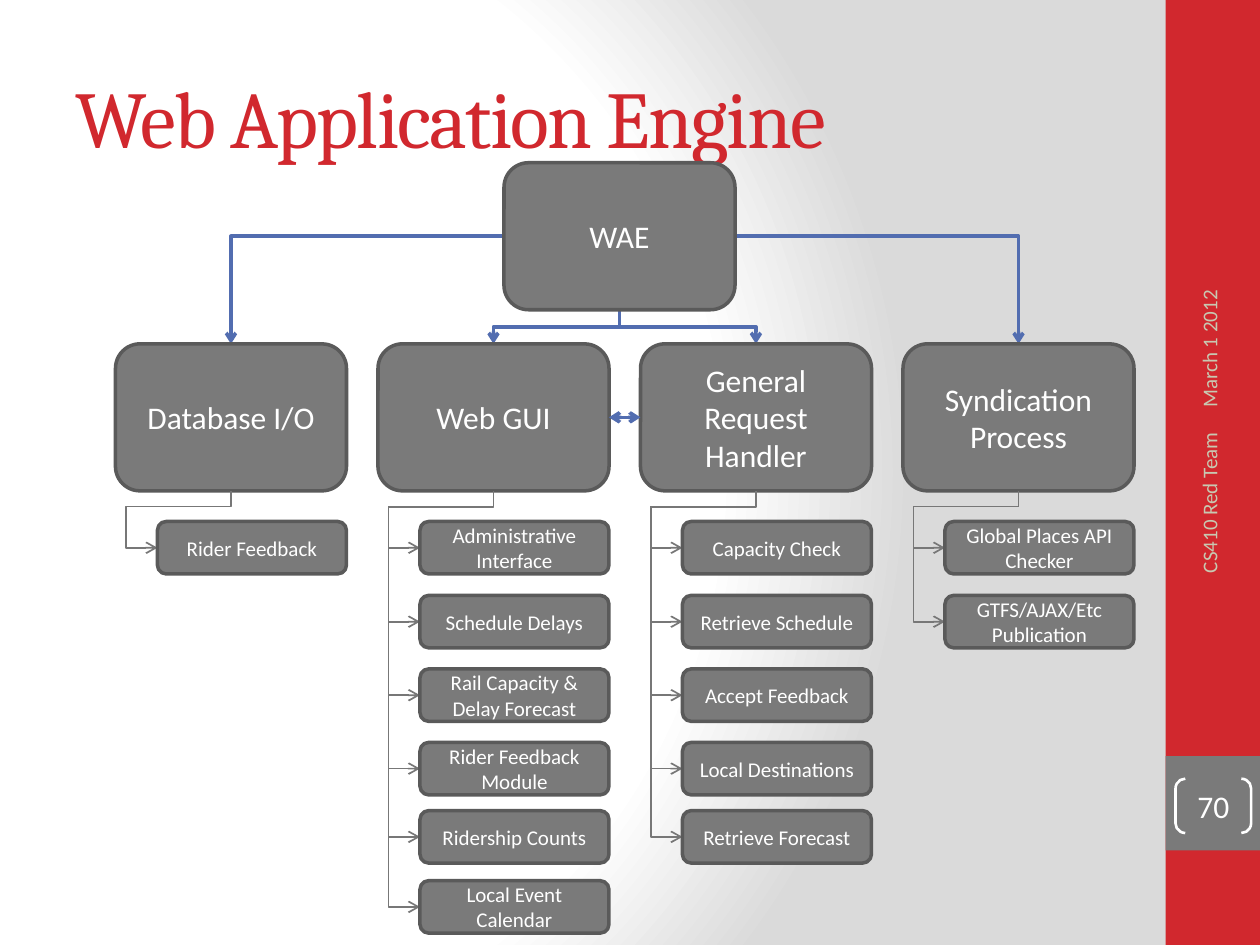
"""Build the Web Application Engine component tree slide."""
import lxml.etree
import pptx
import pptx.dml.color
import pptx.enum.shapes
import pptx.enum.text
import pptx.oxml
import pptx.oxml.ns
import pptx.util

Pt = pptx.util.Pt
RGBColor = pptx.dml.color.RGBColor
SHAPE = pptx.enum.shapes.MSO_SHAPE
CONNECTOR = pptx.enum.shapes.MSO_CONNECTOR
ALIGN = pptx.enum.text.PP_ALIGN
qn = pptx.oxml.ns.qn

RED = RGBColor(0xD1, 0x28, 0x2E)
GREY = RGBColor(0x7A, 0x7A, 0x7A)
OUTLINE = RGBColor(0x5A, 0x5A, 0x5A)
BRANCH = RGBColor(0x77, 0x77, 0x77)
BLUE = RGBColor(0x52, 0x6D, 0xB0)
SAND = RGBColor(0xC8, 0xC8, 0xB1)
WHITE = RGBColor(0xFF, 0xFF, 0xFF)

BACKGROUND = f"""<p:bg {pptx.oxml.ns.nsdecls("p", "a")}><p:bgPr><a:gradFill rotWithShape="1"><a:gsLst>
<a:gs pos="0"><a:srgbClr val="FFFFFF"/></a:gs><a:gs pos="75000"><a:srgbClr val="FFFFFF"/></a:gs>
<a:gs pos="100000"><a:srgbClr val="DADADA"/></a:gs></a:gsLst>
<a:path path="circle"><a:fillToRect l="20000" t="50000" r="100000" b="50000"/></a:path>
</a:gradFill><a:effectLst/></p:bgPr></p:bg>"""

COLUMN_LEFT, COLUMN_STEP = 66, 150
NODE_WIDTH, NODE_HEIGHT = 132, 84
ROOT_LEFT, ROOT_TOP, NODE_TOP = 288, 93, 196.5
NODE_BOTTOM = NODE_TOP + NODE_HEIGHT
LEAF_INDENT, LEAF_WIDTH, LEAF_HEIGHT = 24, 108, 30
LEAF_TOPS = [298, 340.25, 382.25, 424.25, 463.25, 503.25]
TRUNK_GAP, TRUNK_DROP = 18, 9

COMPONENTS = {
    "Database I/O": ["Rider Feedback"],
    "Web GUI": [
        "Administrative Interface", "Schedule Delays", "Rail Capacity & Delay Forecast",
        "Rider Feedback Module", "Ridership Counts", "Local Event Calendar",
    ],
    "General Request Handler": [
        "Capacity Check", "Retrieve Schedule", "Accept Feedback",
        "Local Destinations", "Retrieve Forecast",
    ],
    "Syndication Process": ["Global Places API Checker", "GTFS/AJAX/Etc Publication"],
}


class SlideBuilder:
    """Hold the style and the current slide."""

    def __init__(self, page):
        self.page = page
        self.font = "Calibri"
        self.title_font = "Cambria"

    def background(self):
        self.page._element.cSld.insert(0, pptx.oxml.parse_xml(BACKGROUND))

    def label(self, box, text, size, color, align, font=None):
        frame = box.text_frame
        frame.text = text
        frame.word_wrap = True
        frame.auto_size = pptx.enum.text.MSO_AUTO_SIZE.NONE
        frame.vertical_anchor = pptx.enum.text.MSO_ANCHOR.MIDDLE
        para = frame.paragraphs[0]
        para.alignment = align
        span = para.runs[0]
        span.font.name = font or self.font
        span.font.size = Pt(size)
        span.font.color.rgb = color
        return span

    def title(self, text, left, top, width, height):
        box = self.page.shapes.title
        box.left, box.top, box.width, box.height = map(Pt, (left, top, width, height))
        span = self.label(box, text, 46, RED, ALIGN.LEFT, self.title_font)
        span._r.get_or_add_rPr().set("spc", "-100")

    def shape(self, kind, left, top, width, height, fill=None, line=None, weight=2):
        box = self.page.shapes.add_shape(kind, *map(Pt, (left, top, width, height)))
        box.shadow.inherit = False
        if fill is None:
            box.fill.background()
        else:
            box.fill.solid()
            box.fill.fore_color.rgb = fill
        if line is None:
            box.line.fill.background()
        else:
            box.line.color.rgb = line
            box.line.width = Pt(weight)
        return box

    def node(self, text, left, top, width=NODE_WIDTH, height=NODE_HEIGHT, size=18):
        box = self.shape(SHAPE.ROUNDED_RECTANGLE, left, top, width, height, GREY, OUTLINE)
        self.label(box, text, size, WHITE, ALIGN.CENTER)
        return box

    def side_text(self, text, left, top, width, height, align):
        box = self.page.shapes.add_textbox(*map(Pt, (left, top, width, height)))
        box.rotation = 270
        self.label(box, text, 12, SAND, align)

    def page_number(self, text, left, top, width, height):
        box = self.shape(SHAPE.DOUBLE_BRACKET, left, top, width, height, None, WHITE, 1.5)
        box.adjustments[0] = 0.18
        self.label(box, text, 18, WHITE, ALIGN.CENTER)
        frame = box.text_frame
        frame.margin_left = frame.margin_right = frame.margin_top = frame.margin_bottom = 0

    def arrow(self, kind, start, end, color, weight, ends=("tailEnd",)):
        connector = self.page.shapes.add_connector(kind, *map(Pt, (*start, *end)))
        connector.line.color.rgb = color
        connector.line.width = Pt(weight)
        line = connector._element.spPr.find(qn("a:ln"))
        for name in ends:
            lxml.etree.SubElement(line, qn(f"a:{name}")).set("type", "arrow")
        lxml.etree.SubElement(connector._element.spPr, qn("a:effectLst"))
        return connector

    def bend(self, connector, preset, ratios=()):
        geometry = connector._element.spPr.find(qn("a:prstGeom"))
        geometry.set("prst", preset)
        guides = geometry.find(qn("a:avLst"))
        for number, ratio in enumerate(ratios, 1):
            guide = lxml.etree.SubElement(guides, qn("a:gd"))
            guide.set("name", f"adj{number}")
            guide.set("fmla", f"val {round(ratio * 100000)}")

    def corner(self, start, end):
        self.bend(self.arrow(CONNECTOR.ELBOW, start, end, BLUE, 2), "bentConnector2")

    def drop(self, start, end, color, weight, preset, ratios):
        across, down = end[0] - start[0], end[1] - start[1]
        middle_x, middle_y = (start[0] + end[0]) / 2, (start[1] + end[1]) / 2
        reach = down / 2 if across < 0 else -down / 2
        connector = self.arrow(
            CONNECTOR.ELBOW,
            (middle_x - reach, middle_y - abs(across) / 2),
            (middle_x + reach, middle_y + abs(across) / 2),
            color, weight,
        )
        turn = 90 if across < 0 else 270
        connector._element.spPr.find(qn("a:xfrm")).set("rot", str(turn * 60000))
        self.bend(connector, preset, ratios)

    def link(self, first, second):
        connector = self.arrow(CONNECTOR.STRAIGHT, (0, 0), (0, 0), BLUE, 2, ("headEnd", "tailEnd"))
        connector.begin_connect(first, 3)
        connector.end_connect(second, 1)

    def leaf(self, text, column, top):
        left = column + LEAF_INDENT
        start = (column + NODE_WIDTH / 2, NODE_BOTTOM)
        end = (left, top + LEAF_HEIGHT / 2)
        ratios = (TRUNK_DROP / (end[1] - start[1]), 1 + TRUNK_GAP / (start[0] - left))
        self.drop(start, end, BRANCH, 1, "bentConnector4", ratios)
        self.node(text, left, top, LEAF_WIDTH, LEAF_HEIGHT, 12)


def main():
    deck = pptx.Presentation()
    deck.slide_width, deck.slide_height = Pt(720), Pt(540)
    page = deck.slides.add_slide(deck.slide_layouts[5])
    builder = SlideBuilder(page)
    builder.background()
    builder.shape(SHAPE.RECTANGLE, 666, 0, 54, 540, RED)
    builder.shape(SHAPE.RECTANGLE, 666, 432, 54, 54, GREY)
    builder.title("Web Application Engine", 36, 21.6, 600, 90)
    builder.side_text("March 1 2012", 594.72, 129.6, 192.24, 28.8, ALIGN.LEFT)
    builder.side_text("CS410 Red Team", 597.6, 318.96, 186.48, 28.8, ALIGN.RIGHT)
    builder.page_number("70", 671.75, 445, 43.2, 31)

    columns = [COLUMN_LEFT + COLUMN_STEP * index for index in range(len(COMPONENTS))]
    tops = [(column + NODE_WIDTH / 2, NODE_TOP) for column in columns]
    root_middle = ROOT_TOP + NODE_HEIGHT / 2
    builder.corner((ROOT_LEFT, root_middle), tops[0])
    builder.corner((ROOT_LEFT + NODE_WIDTH, root_middle), tops[-1])
    root_bottom = (ROOT_LEFT + NODE_WIDTH / 2, ROOT_TOP + NODE_HEIGHT)
    for target in tops[1:3]:
        builder.drop(root_bottom, target, BLUE, 2, "bentConnector3", (0.5,))

    builder.node("WAE", ROOT_LEFT, ROOT_TOP)
    nodes = [builder.node(name, column, NODE_TOP) for name, column in zip(COMPONENTS, columns)]
    builder.link(nodes[1], nodes[2])
    for column, leaves in zip(columns, COMPONENTS.values()):
        for text, top in zip(leaves, LEAF_TOPS):
            builder.leaf(text, column, top)
    deck.save("out.pptx")


if __name__ == "__main__":
    main()
